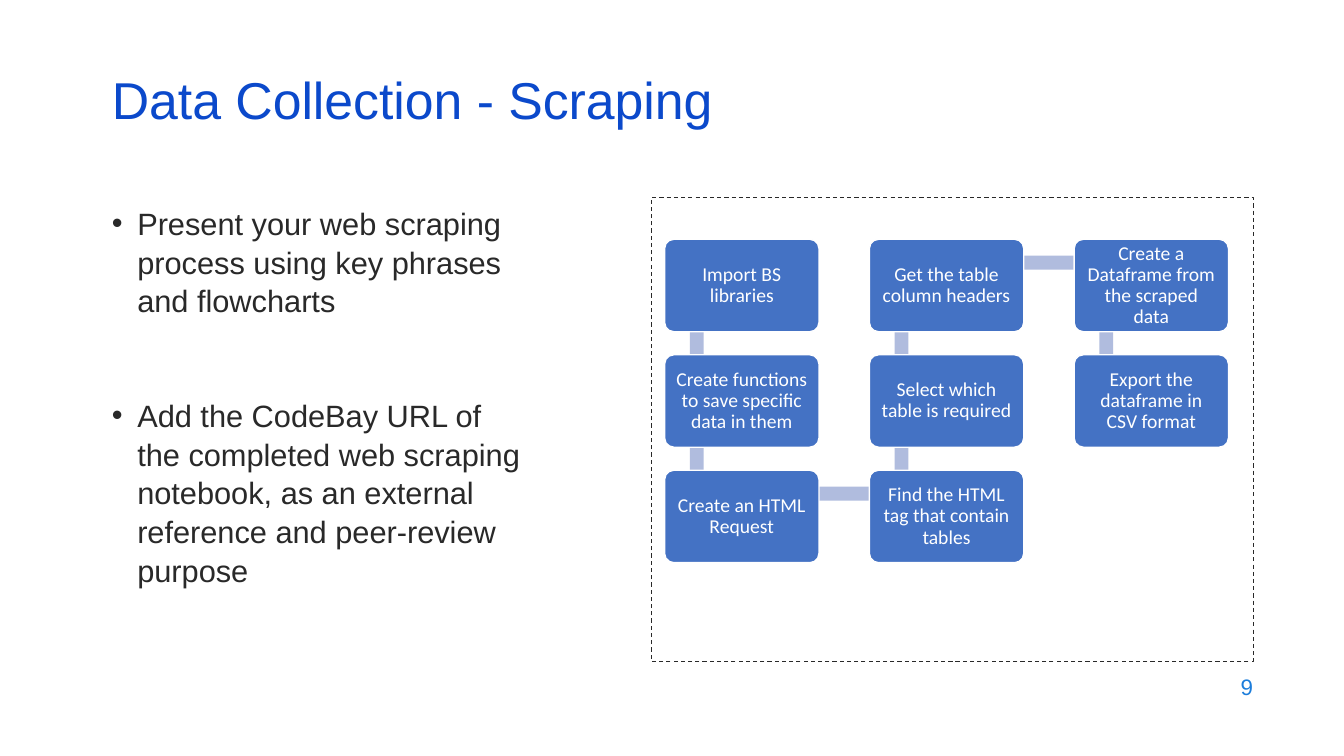
"""Builds the web scraping slide with its snaking flowchart."""
import pptx
import pptx.dml.color
import pptx.enum.dml
import pptx.enum.shapes
import pptx.enum.text
import pptx.util

Cm, Pt = pptx.util.Cm, pptx.util.Pt
SHAPE = pptx.enum.shapes.MSO_SHAPE
ALIGN = pptx.enum.text.PP_ALIGN
ANCHOR = pptx.enum.text.MSO_ANCHOR

TITLE = "Data Collection - Scraping"
GUIDELINES = [
    "Present your web scraping process using key phrases and flowcharts",
    "Add the CodeBay URL of the completed web scraping notebook, as an external "
    "reference and peer-review purpose",
]
PAGE_NUMBER = "9"
STEPS = [
    ("Import BS libraries", 0, 0),
    ("Create functions to save specific data in them", 0, 1),
    ("Create an HTML Request", 0, 2),
    ("Find the HTML tag that contain tables", 1, 2),
    ("Select which table is required", 1, 1),
    ("Get the table column headers", 1, 0),
    ("Create a Dataframe from the scraped data", 2, 0),
    ("Export the dataframe in CSV format", 2, 1),
]
COLORS = {
    "title": "0B49CB", "body": "292929", "number": "1C7DDB", "frame": "292929",
    "step": "4472C4", "link": "B0BCDE", "white": "FFFFFF",
}
FLOW_LEFT, FLOW_TOP = 16.75, 6.03
PITCH_X, PITCH_Y = 5.16, 2.91
STEP_WIDTH, STEP_HEIGHT = 3.89, 2.33
LINK_X, LINK_Y, LINK_THICKNESS = 0.81, 0.59, 0.35


def color(name):
    return pptx.dml.color.RGBColor.from_string(COLORS[name])


def place(part, left, top, width, height):
    part.left, part.top, part.width, part.height = map(Cm, (left, top, width, height))


def write(part, paragraphs, *, size, ink, font="Arial", align=ALIGN.LEFT,
          anchor=ANCHOR.MIDDLE, spacing=1.0, gap=0, hang=0, inset=(0.25, 0.13)):
    frame = part.text_frame
    frame.word_wrap = True
    frame.auto_size = pptx.enum.text.MSO_AUTO_SIZE.NONE
    frame.vertical_anchor = anchor
    frame.margin_left = frame.margin_right = Cm(inset[0])
    frame.margin_top = frame.margin_bottom = Cm(inset[1])
    for index, text in enumerate(paragraphs):
        paragraph = frame.add_paragraph() if index else frame.paragraphs[0]
        paragraph.alignment = align
        paragraph.line_spacing = spacing
        paragraph.space_before = Pt(gap if index else 0)
        if hang:
            properties = paragraph._p.get_or_add_pPr()
            properties.set("marL", str(Cm(hang)))
            properties.set("indent", str(-Cm(hang)))
        run = paragraph.add_run()
        run.text = text
        run.font.name, run.font.size = font, Pt(size)
        run.font.color.rgb = color(ink)


def add_block(slide, kind, left, top, width, height, fill=None, line=None, weight=1):
    block = slide.shapes.add_shape(kind, *map(Cm, (left, top, width, height)))
    block.shadow.inherit = False
    if fill:
        block.fill.solid()
        block.fill.fore_color.rgb = color(fill)
    else:
        block.fill.background()
    if line:
        block.line.color.rgb = color(line)
        block.line.width = Pt(weight)
    else:
        block.line.fill.background()
    return block


def corner(column, row):
    return FLOW_LEFT + column * PITCH_X, FLOW_TOP + row * PITCH_Y


def add_flowchart(slide):
    for (_, *start), (_, *end) in zip(STEPS, STEPS[1:]):
        left, top = map(min, corner(*start), corner(*end))
        if start[0] == end[0]:
            add_block(slide, SHAPE.RECTANGLE, left + LINK_X - LINK_THICKNESS / 2,
                      top + LINK_Y, LINK_THICKNESS, PITCH_Y, fill="link")
        else:
            add_block(slide, SHAPE.RECTANGLE, left + LINK_X,
                      top + LINK_Y - LINK_THICKNESS / 2, PITCH_X, LINK_THICKNESS, fill="link")
    for text, column, row in STEPS:
        step = add_block(slide, SHAPE.ROUNDED_RECTANGLE, *corner(column, row),
                         STEP_WIDTH, STEP_HEIGHT, fill="step", line="white")
        step.adjustments[0] = 0.1
        write(step, [text], size=14, ink="white", font="Calibri", align=ALIGN.CENTER,
              spacing=0.9, inset=(0.2, 0.2))


def main():
    deck = pptx.Presentation()
    deck.slide_width, deck.slide_height = Cm(33.87), Cm(19.05)
    slide = deck.slides.add_slide(deck.slide_layouts[1])

    title, guidelines = slide.placeholders
    place(title, 2.57, 1.93, 29.21, 1.52)
    write(title, [TITLE], size=37, ink="title", spacing=0.7)
    place(guidelines, 2.57, 4.98, 10.92, 10.59)
    write(guidelines, GUIDELINES, size=22, ink="body", anchor=ANCHOR.TOP,
          spacing=1.05, gap=54, hang=0.64)

    number = slide.shapes.add_textbox(Cm(24.21), Cm(16.74), Cm(7.62), Cm(1.12))
    write(number, [PAGE_NUMBER], size=16, ink="number", align=ALIGN.RIGHT)

    frame = add_block(slide, SHAPE.RECTANGLE, 16.41, 4.98, 15.17, 11.68,
                      line="frame", weight=0.75)
    frame.line.dash_style = pptx.enum.dml.MSO_LINE.DASH
    add_flowchart(slide)
    deck.save("out.pptx")


if __name__ == "__main__":
    main()
